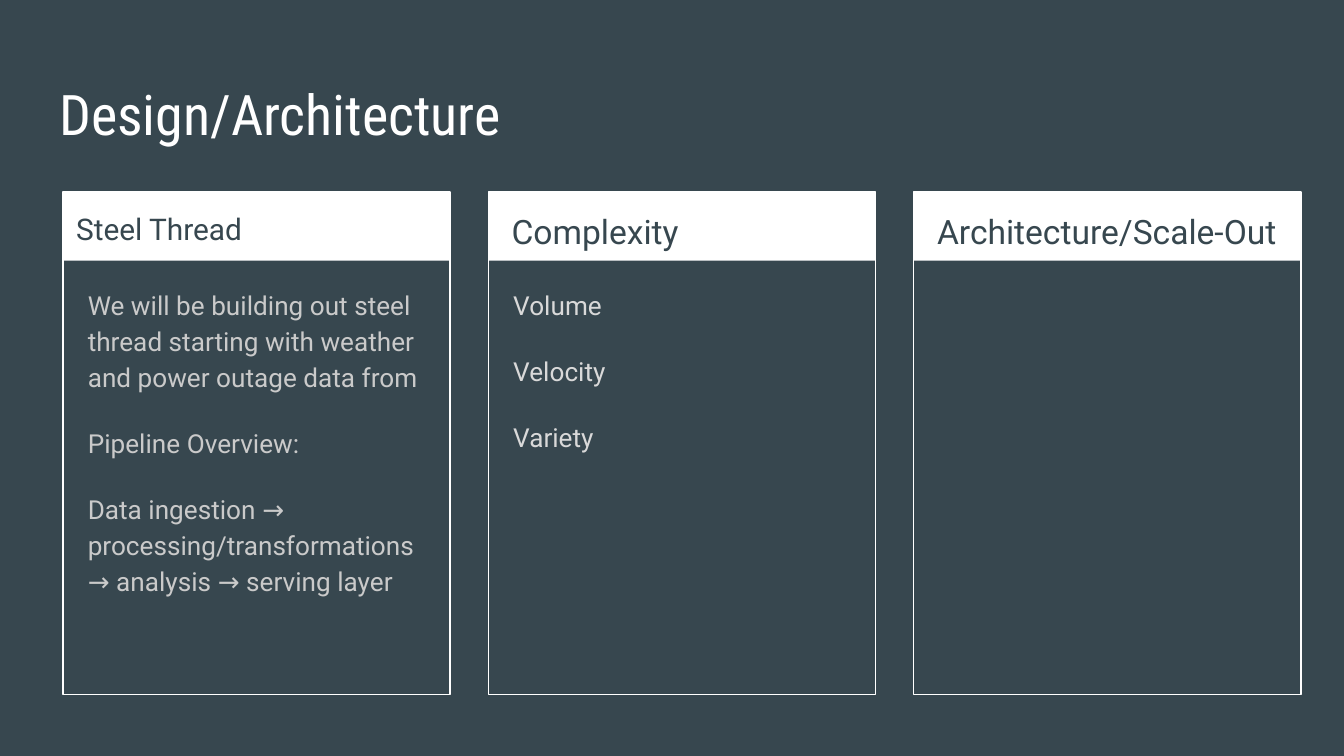
from pptx import Presentation
from pptx.dml.color import RGBColor
from pptx.enum.shapes import MSO_SHAPE
from pptx.enum.text import MSO_ANCHOR, PP_ALIGN
from pptx.util import Cm, Pt

RECT = MSO_SHAPE.RECTANGLE
TOP = MSO_ANCHOR.TOP
LEFT = PP_ALIGN.LEFT

SLATE = "37474F"
WHITE = "FFFFFF"
TITLE_FONT = "Roboto Condensed"
BODY_FONT = "Roboto"

# Column grid, in cm
COL_LEFT, COL_TOP, COL_W, COL_H = 1.19, 3.63, 7.32, 9.5
COL_PITCH = 8.04
HEADER_H = 1.3

# Heading, heading size, heading indent (cm), body colour, body paragraphs
COLUMNS = [
    ("Steel Thread", 16, 0, "CACACA", [
        "We will be building out steel thread starting with weather "
        "and power outage data from",
        "Pipeline Overview:",
        "Data ingestion → processing/transformations → analysis → serving layer",
    ]),
    ("Complexity", 18, 0.19, "D9D9D9", ["Volume", "Velocity", "Variety"]),
    ("Architecture/Scale-Out", 18, 0.19, "D9D9D9", []),
]


def rgb(value):
    return RGBColor.from_string(value)


def place(sp, x, y, w, h):
    sp.left, sp.top, sp.width, sp.height = Cm(x), Cm(y), Cm(w), Cm(h)


def write(sp, paragraphs, size, color, font=BODY_FONT, spacing=1.15, after=0):
    tf = sp.text_frame
    tf.word_wrap = True
    tf.vertical_anchor = TOP
    tf.margin_left = tf.margin_right = Cm(0.25)
    tf.margin_top = tf.margin_bottom = Cm(0.25)
    tf.text = "\n".join(paragraphs)
    for p in tf.paragraphs:
        p.alignment = LEFT
        p.line_spacing = spacing
        p.space_before = Pt(0)
        p.space_after = Pt(after)
        for r in p.runs:
            r.font.name = font
            r.font.size = Pt(size)
            r.font.color.rgb = rgb(color)


def add_text(s, x, y, w, h, paragraphs, size, color, after=0):
    sp = s.shapes.add_textbox(Cm(x), Cm(y), Cm(w), Cm(h))
    write(sp, paragraphs, size, color, after=after)


def add_box(s, x, y, w, h, fill=None, line=None):
    sp = s.shapes.add_shape(RECT, Cm(x), Cm(y), Cm(w), Cm(h))
    sp.shadow.inherit = False
    if fill:
        sp.fill.solid()
        sp.fill.fore_color.rgb = rgb(fill)
    else:
        sp.fill.background()
    if line:
        sp.line.color.rgb = rgb(line)
        sp.line.width = Pt(0.75)
    else:
        sp.line.fill.background()


def add_title(s, x, y, w, h, text):
    title = s.shapes.title
    place(title, x, y, w, h)
    write(title, [text], 30, WHITE, font=TITLE_FONT, spacing=1.0)


def add_column(s, x, y, w, h, heading, size, indent, color, paragraphs):
    # Header band and frame
    add_box(s, x, y, w, HEADER_H, fill=WHITE)
    add_box(s, x, y, w, h, line=WHITE)
    # Heading and body text
    add_text(s, x + indent, y, w - 0.38, HEADER_H, [heading], size, SLATE)
    if paragraphs:
        add_text(s, x + 0.22, y + 1.5, w - 0.44, h - 1.73,
                 paragraphs, 14, color, after=16)


def main():
    prs = Presentation()
    prs.slide_width, prs.slide_height = Cm(25.4), Cm(14.29)
    s = prs.slides.add_slide(prs.slide_layouts[5])
    s.background.fill.solid()
    s.background.fill.fore_color.rgb = rgb(SLATE)

    add_title(s, 0.87, 1.25, 23.67, 1.6, "Design/Architecture")
    for i, column in enumerate(COLUMNS):
        add_column(s, COL_LEFT + i * COL_PITCH, COL_TOP, COL_W, COL_H, *column)

    prs.save("out.pptx")


if __name__ == "__main__":
    main()
